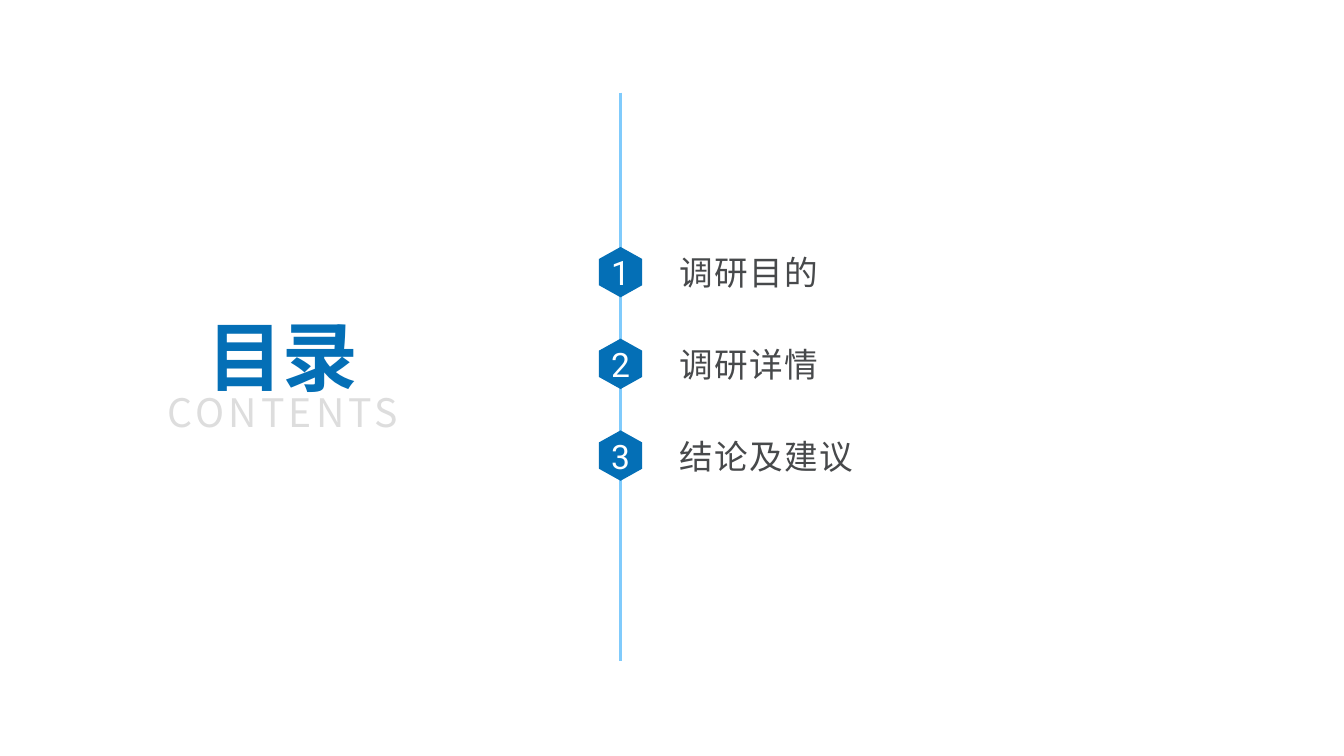
"""Build a contents slide with a numbered vertical timeline."""
from lxml import etree
from pptx import Presentation
from pptx.dml.color import RGBColor
from pptx.enum.shapes import MSO_CONNECTOR
from pptx.enum.text import MSO_ANCHOR, MSO_AUTO_SIZE, PP_ALIGN
from pptx.oxml.ns import qn
from pptx.util import Inches, Pt

COLORS = {
    "blue": "046FB6",
    "rail": "80CBFC",
    "label": "47494B",
    "subtitle": "DDDDDD",
    "white": "FFFFFF",
}
CHAPTERS = ["调研目的", "调研详情", "结论及建议"]
RAIL_X = 6.155
FIRST_Y = 2.7
PITCH = 0.91


def color(key):
    """Return the named palette colour."""
    return RGBColor.from_string(COLORS[key])


def write(holder, wording, size, font, ink, align=PP_ALIGN.CENTER,
          bold=False, spacing=0, wrap=False):
    """Put one formatted, vertically centred line into a shape."""
    frame = holder.text_frame
    frame.text = wording
    frame.auto_size = MSO_AUTO_SIZE.NONE
    frame.word_wrap = wrap
    frame.vertical_anchor = MSO_ANCHOR.MIDDLE
    line = frame.paragraphs[0]
    line.alignment = align
    run = line.runs[0]
    run.font.size = Pt(size)
    run.font.bold = bold
    run.font.color.rgb = color(ink)
    run.font.name = font
    properties = run.font._element
    properties.set("spc", str(spacing * 100))
    etree.SubElement(properties, qn("a:ea")).set("typeface", font)


def add_rail(slide):
    """Draw the vertical line behind the chapter markers."""
    rail = slide.shapes.add_connector(
        MSO_CONNECTOR.STRAIGHT,
        Inches(RAIL_X), Inches(0.92), Inches(RAIL_X), Inches(6.56))
    rail.line.color.rgb = color("rail")
    rail.line.width = Pt(2)
    etree.SubElement(rail._element.spPr, qn("a:effectLst"))


def add_marker(slide, number, center_y):
    """Draw a numbered upright hexagon on the rail."""
    half_width, half_height, shoulder = 0.215, 0.25, 0.13
    offsets = [(0, -half_height), (half_width, -shoulder),
               (half_width, shoulder), (0, half_height),
               (-half_width, shoulder), (-half_width, -shoulder)]
    corners = [(Inches(RAIL_X + dx), Inches(center_y + dy))
               for dx, dy in offsets]
    builder = slide.shapes.build_freeform(*corners[0])
    builder.add_line_segments(corners[1:], close=True)
    marker = builder.convert_to_shape()
    marker.shadow.inherit = False
    marker.fill.solid()
    marker.fill.fore_color.rgb = color("blue")
    marker.line.fill.background()
    write(marker, str(number), 24, "Roboto", "white")


def add_label(slide, wording, center_y):
    """Write a chapter name to the right of its marker."""
    height = 1.03
    label = slide.shapes.add_textbox(
        Inches(6.54), Inches(center_y - height / 2),
        Inches(4.97), Inches(height))
    label.text_frame.margin_left = Inches(0.2)
    write(label, wording, 24, "Arial", "label",
          align=PP_ALIGN.LEFT, spacing=1, wrap=True)


def add_heading(slide):
    """Place the title and the subtitle beneath it."""
    left, width, height = Inches(1.84), Inches(1.93), Inches(0.86)
    title = slide.shapes.title
    title.left, title.top = left, Inches(3.09)
    title.width, title.height = width, height
    write(title, "目录", 54, "Noto Sans CJK SC", "blue", bold=True)
    subtitle = slide.shapes.add_textbox(left, Inches(3.66), width, height)
    write(subtitle, "CONTENTS", 28, "Noto Sans CJK SC", "subtitle", spacing=3)


def main():
    """Assemble and save the slide."""
    deck = Presentation()
    deck.slide_width, deck.slide_height = Inches(13.33), Inches(7.5)
    slide = deck.slides.add_slide(deck.slide_layouts[5])
    add_rail(slide)
    for index, chapter in enumerate(CHAPTERS):
        center_y = FIRST_Y + index * PITCH
        add_label(slide, chapter, center_y)
        add_marker(slide, index + 1, center_y)
    add_heading(slide)
    deck.save("out.pptx")


if __name__ == "__main__":
    main()
